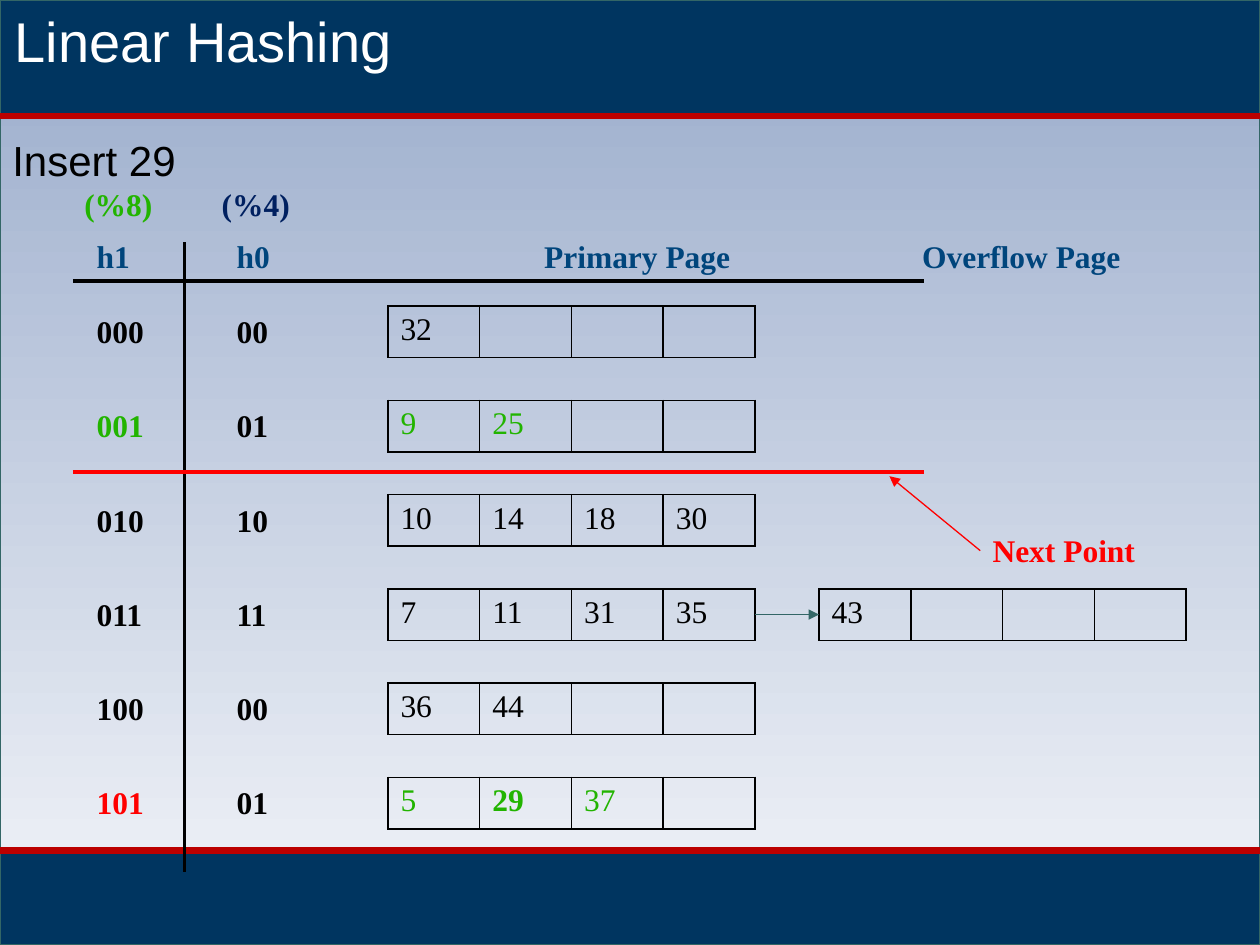
from dataclasses import dataclass

from lxml import etree
from pptx import Presentation
from pptx import util as u
from pptx.dml.color import RGBColor
from pptx.enum import shapes, text
from pptx.oxml import ns


@dataclass(frozen=True)
class Theme:
    navy: str = "003560"
    band_red: str = "BC0000"
    teal: str = "336666"
    sky_top: str = "99ABCB"
    sky_bottom: str = "F3F5F9"
    heading: str = "00457C"
    indigo: str = "002060"
    green: str = "22B400"
    red: str = "FF0000"
    black: str = "000000"
    white: str = "FFFFFF"
    sans: str = "Arial"
    serif: str = "Times New Roman"
    title_size: int = 32
    subtitle_size: int = 24
    body_size: int = 18


THEME = Theme()
WIDTH, HEIGHT = 25.4, 19.05
HEADER_BOTTOM, FOOTER_TOP = 2.34, 17.15
H1_LEFT, H0_LEFT = 1.7, 4.52
HEADING_TOP = 4.65
PRIMARY_LEFT, OVERFLOW_LEFT = 7.82, 16.51
FIRST_ROW_TOP, ROW_PITCH = 6.17, 1.9
SLOTS, SLOT_WIDTH, SLOT_HEIGHT = 4, 1.85, 1.04

# h1, colour of h1, h0, primary page, colour of the page
BUCKETS = [
    ("000", THEME.black, "00", ["32"], THEME.black),
    ("001", THEME.green, "01", ["9", "25"], THEME.green),
    ("010", THEME.black, "10", ["10", "14", "18", "30"], THEME.black),
    ("011", THEME.black, "11", ["7", "11", "31", "35"], THEME.black),
    ("100", THEME.black, "00", ["36", "44"], THEME.black),
    ("101", THEME.red, "01", ["5", "29", "37"], THEME.green),
]
OVERFLOW_BUCKET, OVERFLOW_KEYS = 3, ["43"]
INSERTED_KEY = "29"


def rgb(color):
    return RGBColor.from_string(color)


def format_runs(paragraph, color, size=THEME.body_size, font=THEME.serif, bold=False):
    for run in paragraph.runs:
        run.font.name = font
        run.font.size = u.Pt(size)
        run.font.bold = bold
        run.font.color.rgb = rgb(color)


def add_band(slide, top, height, color, end_color=None):
    """Full-width rectangle, plain or with a gradient running downwards."""
    shape = slide.shapes.add_shape(
        shapes.MSO_SHAPE.RECTANGLE, 0, u.Cm(top), u.Cm(WIDTH), u.Cm(height))
    shape.shadow.inherit = False
    if end_color:
        shape.fill.gradient()
        shape.fill.gradient_angle = 270
        for stop, stop_color in zip(shape.fill.gradient_stops, (color, end_color)):
            stop.color.rgb = rgb(stop_color)
    else:
        shape.fill.solid()
        shape.fill.fore_color.rgb = rgb(color)
    shape.line.color.rgb = rgb(THEME.teal)
    shape.line.width = u.Pt(0.75)


def add_line(slide, start, end, color, width, arrow=False):
    connector = slide.shapes.add_connector(
        shapes.MSO_CONNECTOR.STRAIGHT, *(u.Cm(value) for value in start + end))
    connector.line.color.rgb = rgb(color)
    connector.line.width = u.Pt(width)
    if arrow:
        etree.SubElement(connector.line._get_or_add_ln(), ns.qn("a:tailEnd"), type="triangle")
    etree.SubElement(connector._element.spPr, ns.qn("a:effectLst"))


def add_text(slide, words, left, top, width, height, color, wrap=True, **style):
    shape = slide.shapes.add_textbox(u.Cm(left), u.Cm(top), u.Cm(width), u.Cm(height))
    frame = shape.text_frame
    frame.text = words
    frame.word_wrap = wrap
    frame.auto_size = text.MSO_AUTO_SIZE.SHAPE_TO_FIT_TEXT
    format_runs(frame.paragraphs[0], color, **style)


def add_label(slide, words, left, top, width, color):
    add_text(slide, words, left, top, width, 1.02, color, wrap=False, bold=True)


def set_borders(cell):
    properties = cell._tc.get_or_add_tcPr()
    for index, side in enumerate(("lnL", "lnR", "lnT", "lnB")):
        border = etree.Element(ns.qn(f"a:{side}"), w=str(u.Pt(1)))
        fill = etree.SubElement(border, ns.qn("a:solidFill"))
        etree.SubElement(fill, ns.qn("a:srgbClr"), val=THEME.black)
        properties.insert(index, border)


def add_page(slide, keys, left, top, color):
    """One-row table of key slots; slots without a key stay empty."""
    table = slide.shapes.add_table(
        1, SLOTS, u.Cm(left), u.Cm(top),
        u.Cm(SLOTS * SLOT_WIDTH), u.Cm(SLOT_HEIGHT)).table
    table.first_row = False
    table.horz_banding = False
    for index in range(SLOTS):
        cell = table.cell(0, index)
        cell.fill.background()
        set_borders(cell)
        if index < len(keys):
            cell.text_frame.text = keys[index]
            format_runs(cell.text_frame.paragraphs[0], color,
                        bold=keys[index] == INSERTED_KEY)


def add_background(slide):
    add_band(slide, 0, HEIGHT, THEME.sky_top, THEME.sky_bottom)
    add_band(slide, FOOTER_TOP, HEIGHT - FOOTER_TOP, THEME.navy)
    add_band(slide, 0, HEADER_BOTTOM, THEME.navy)
    for edge in (HEADER_BOTTOM, FOOTER_TOP):
        add_line(slide, (0, edge), (WIDTH, edge), THEME.band_red, 3.75)


def add_headings(slide):
    add_text(slide, "Linear Hashing", 0.05, 0, 25.35, 1.63, THEME.white,
             size=THEME.title_size, font=THEME.sans)
    add_text(slide, "Insert 29", 0, 2.59, 22.66, 1.27, THEME.black,
             size=THEME.subtitle_size, font=THEME.sans)
    add_label(slide, "(%8)", 1.45, 3.61, 1.9, THEME.green)
    add_label(slide, "(%4)", 4.22, 3.61, 1.9, THEME.indigo)
    for words, left, width in (("h1", H1_LEFT, 1.19), ("h0", H0_LEFT, 1.19),
                               ("Primary Page", 10.72, 4.32),
                               ("Overflow Page", 18.34, 4.7)):
        add_label(slide, words, left, HEADING_TOP, width, THEME.heading)


def add_buckets(slide):
    for index, (h1, h1_color, h0, keys, key_color) in enumerate(BUCKETS):
        top = FIRST_ROW_TOP + index * ROW_PITCH
        add_label(slide, h1, H1_LEFT, top, 1.47, h1_color)
        add_label(slide, h0, H0_LEFT, top, 1.14, THEME.black)
        add_page(slide, keys, PRIMARY_LEFT, top, key_color)
    top = FIRST_ROW_TOP + OVERFLOW_BUCKET * ROW_PITCH
    middle = top + SLOT_HEIGHT / 2
    add_page(slide, OVERFLOW_KEYS, OVERFLOW_LEFT, top, THEME.black)
    add_line(slide, (PRIMARY_LEFT + SLOTS * SLOT_WIDTH, middle),
             (OVERFLOW_LEFT, middle), THEME.teal, 0.75, arrow=True)


def add_next_pointer(slide):
    add_line(slide, (1.47, 9.52), (18.62, 9.52), THEME.red, 2)
    add_line(slide, (19.76, 11.1), (17.93, 9.6), THEME.red, 0.75, arrow=True)
    add_text(slide, "Next Point", 19.76, 10.59, 3.4, 1.02, THEME.red, bold=True)


def main():
    presentation = Presentation()
    presentation.slide_width, presentation.slide_height = u.Cm(WIDTH), u.Cm(HEIGHT)
    slide = presentation.slides.add_slide(presentation.slide_layouts[6])
    add_background(slide)
    add_line(slide, (3.71, 4.88), (3.71, 17.58), THEME.black, 1.75)
    add_line(slide, (1.47, 5.66), (18.62, 5.66), THEME.black, 2)
    add_headings(slide)
    add_buckets(slide)
    add_next_pointer(slide)
    presentation.save("out.pptx")


if __name__ == "__main__":
    main()
